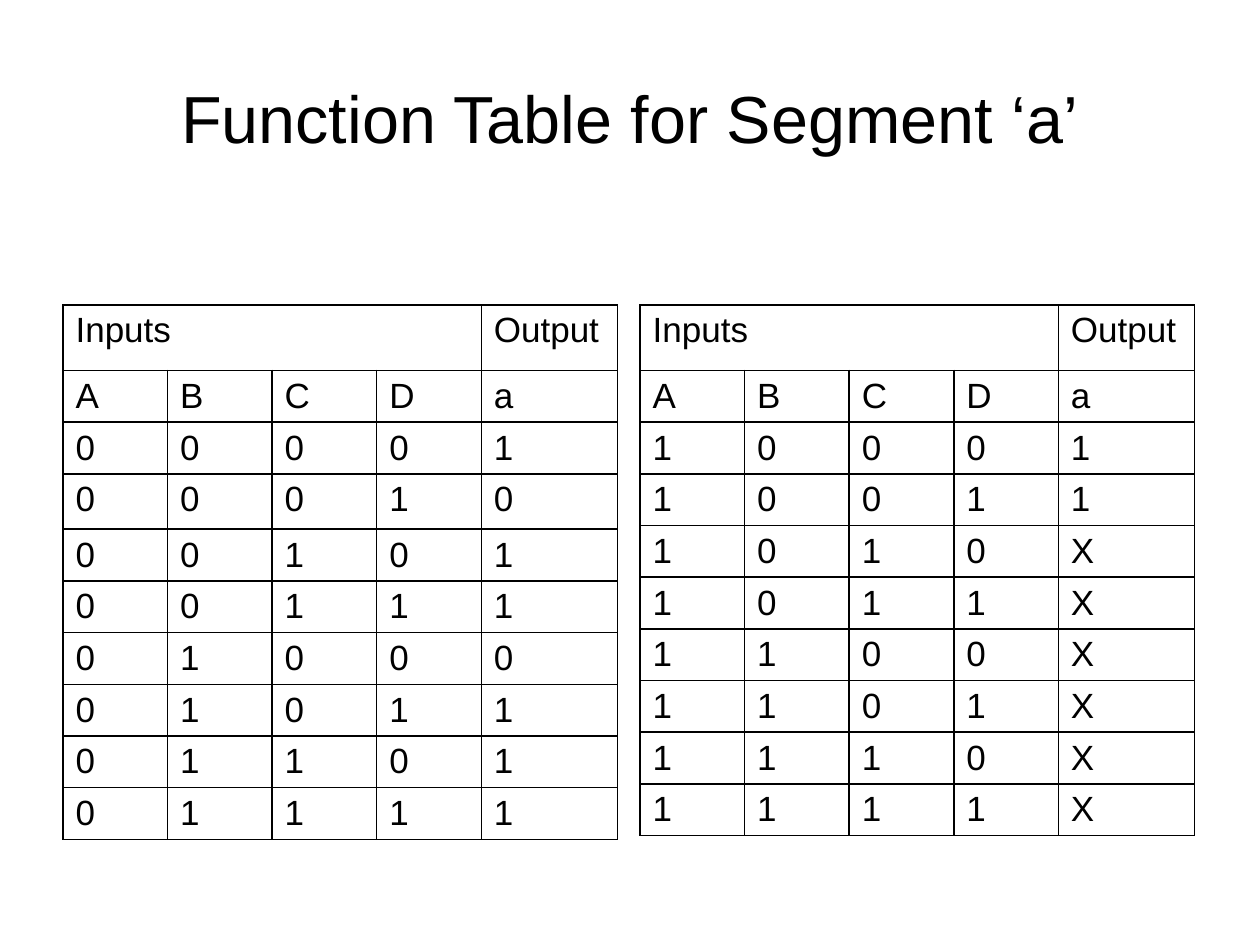
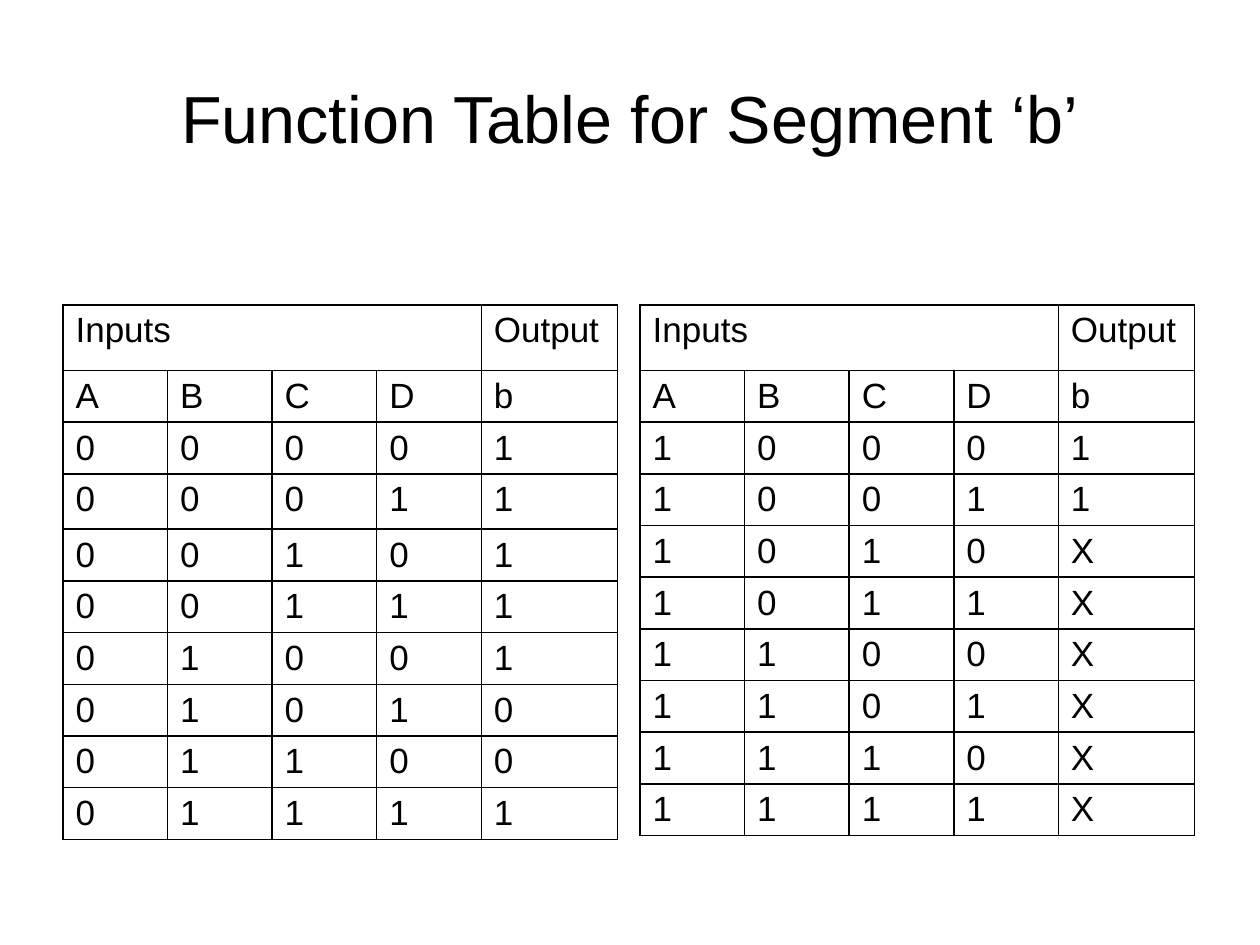
from itertools import product

from lxml import etree
from pptx import Presentation
from pptx.dml.color import RGBColor
from pptx.enum.text import MSO_ANCHOR, MSO_AUTO_SIZE, PP_ALIGN
from pptx.oxml.ns import qn
from pptx.util import Inches, Pt

CENTER, JUSTIFY = PP_ALIGN.CENTER, PP_ALIGN.JUSTIFY
MIDDLE = MSO_ANCHOR.MIDDLE
NO_AUTOFIT = MSO_AUTO_SIZE.NONE
TITLE_ONLY = 5

FONT = "Arial"
BLACK = "000000"
TITLE_BOX = (0.5, 0.3, 9, 1.25)
TABLE_TOP = 2.42
LEFT_X, RIGHT_X = 0.5, 5.08
COL_WIDTHS = [0.83] * 4 + [1.08]
HEADER_H, ROW_H, TALL_ROW_H = 0.52, 0.41, 0.44
LEFT_HEIGHTS = [HEADER_H, ROW_H, ROW_H, TALL_ROW_H] + [ROW_H] * 6
RIGHT_HEIGHTS = [HEADER_H] + [ROW_H] * 9
HANGING = 0.38

# One output per input combination, 0000 to 1111
SEGMENTS = {
    "a": "1011011111XXXXXX",
    "b": "1111100111XXXXXX",
}


def rgb(color):
    return RGBColor.from_string(color)


def format_text(tf, size, align):
    for p in tf.paragraphs:
        p.alignment = align
        for r in p.runs:
            r.font.name = FONT
            r.font.size = Pt(size)
            r.font.color.rgb = rgb(BLACK)


def set_borders(cell, color, width):
    tc_pr = cell._tc.get_or_add_tcPr()
    for i, side in enumerate(("lnL", "lnR", "lnT", "lnB")):
        ln = etree.Element(qn(f"a:{side}"), w=str(Pt(width)))
        fill = etree.SubElement(ln, qn("a:solidFill"))
        etree.SubElement(fill, qn("a:srgbClr"), val=color)
        tc_pr.insert(i, ln)


def set_hanging_indent(p, indent):
    p_pr = p._p.get_or_add_pPr()
    p_pr.set("marL", str(Inches(indent)))
    p_pr.set("indent", str(Inches(-indent)))


def add_title(s, text):
    title = s.shapes.title
    title.left, title.top, title.width, title.height = map(Inches, TITLE_BOX)
    tf = title.text_frame
    tf.text = text
    tf.auto_size = NO_AUTOFIT
    tf.vertical_anchor = MIDDLE
    format_text(tf, 38, CENTER)


def add_function_table(s, x, y, heights, segment, truth_rows, indent=0):
    rows = [["Inputs", "", "", "", "Output"], [*"ABCD", segment], *truth_rows]
    frame = s.shapes.add_table(
        len(rows), len(COL_WIDTHS), Inches(x), Inches(y),
        Inches(sum(COL_WIDTHS)), Inches(sum(heights)))
    table = frame.table
    table.first_row = table.horz_banding = False
    for col, width in zip(table.columns, COL_WIDTHS):
        col.width = Inches(width)
    for row, height, texts in zip(table.rows, heights, rows):
        row.height = Inches(height)
        for cell, text in zip(row.cells, texts):
            cell.text = text
            cell.fill.background()
            set_borders(cell, BLACK, 1)
            format_text(cell.text_frame, 20, JUSTIFY)
            if indent:
                set_hanging_indent(cell.text_frame.paragraphs[0], indent)
    table.cell(0, 0).merge(table.cell(0, 3))


def add_segment_slide(prs, segment, outputs):
    s = prs.slides.add_slide(prs.slide_layouts[TITLE_ONLY])
    add_title(s, f"Function Table for Segment ‘{segment}’")
    truth = [[*bits, out] for bits, out in zip(product("01", repeat=4), outputs)]
    add_function_table(s, LEFT_X, TABLE_TOP, LEFT_HEIGHTS, segment, truth[:8], HANGING)
    add_function_table(s, RIGHT_X, TABLE_TOP, RIGHT_HEIGHTS, segment, truth[8:])


def main():
    prs = Presentation()
    prs.slide_width, prs.slide_height = Inches(10), Inches(7.5)
    for segment, outputs in SEGMENTS.items():
        add_segment_slide(prs, segment, outputs)
    prs.save("out.pptx")


if __name__ == "__main__":
    main()
